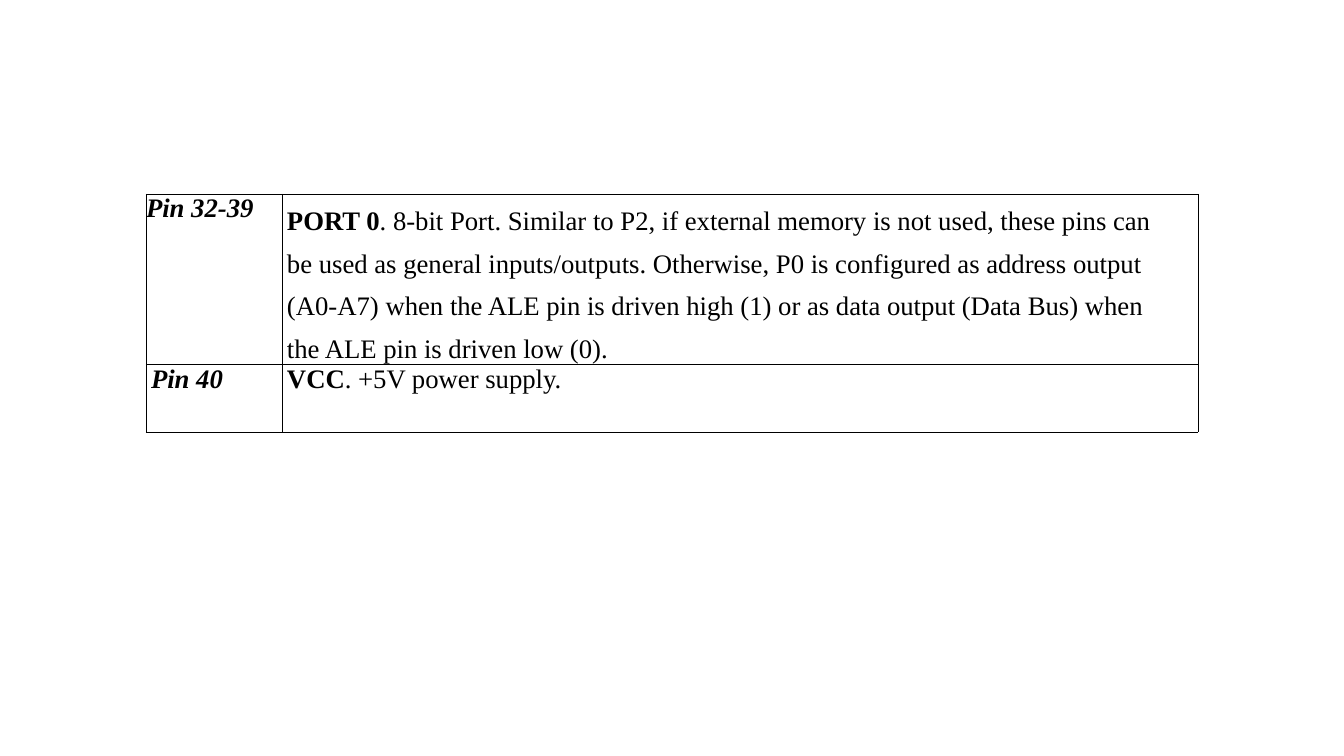
import dataclasses

import lxml.etree
import pptx
import pptx.dml.color
import pptx.oxml.ns
import pptx.util

EMU_PER_PX = 13310


@dataclasses.dataclass(frozen=True)
class Theme:
    font: str = "Times New Roman"
    ink: str = "000000"
    text_size: int = 28
    border_width: float = 0.58
    wide_spacing: float = 1.44


THEME = Theme()

COLUMN_WIDTHS = (136, 916)
ROW_HEIGHTS = (107, 68)

# Each row: pin label, label indent, bold lead, description, line spacing
PIN_ROWS = (
    ("Pin 32-39", 0, "PORT 0",
     ". 8-bit Port. Similar to P2, if external memory is not used, these pins can "
     "be used as general inputs/outputs. Otherwise, P0 is configured as address output "
     "(A0-A7) when the ALE pin is driven high (1) or as data output (Data Bus) when "
     "the ALE pin is driven low (0).", THEME.wide_spacing),
    ("Pin 40", 5, "VCC", ". +5V power supply.", None),
)


def px(length):
    return pptx.util.Emu(length * EMU_PER_PX)


def add_span(para, text, bold=False, italic=False):
    span = para.add_run()
    span.text = text
    font = span.font
    font.name = THEME.font
    font.size = pptx.util.Pt(THEME.text_size)
    font.bold = bold
    font.italic = italic
    font.color.rgb = pptx.dml.color.RGBColor.from_string(THEME.ink)


def add_borders(cell):
    properties = cell._tc.get_or_add_tcPr()
    qualified = pptx.oxml.ns.qn
    for position, side in enumerate(("lnL", "lnR", "lnT", "lnB")):
        line = lxml.etree.Element(qualified(f"a:{side}"))
        line.set("w", str(int(pptx.util.Pt(THEME.border_width))))
        fill = lxml.etree.SubElement(line, qualified("a:solidFill"))
        lxml.etree.SubElement(fill, qualified("a:srgbClr")).set("val", THEME.ink)
        properties.insert(position, line)


def prepare_cell(cell, indent, right=0):
    """Clear the cell's style and return its paragraph."""
    cell.margin_left = cell.margin_top = cell.margin_bottom = 0
    cell.margin_right = px(right)
    cell.fill.background()
    add_borders(cell)
    para = cell.text_frame.paragraphs[0]
    para._p.get_or_add_pPr().set("marL", str(int(px(indent))))
    return para


def add_pin_table(page, left, top):
    frame = page.shapes.add_table(
        len(ROW_HEIGHTS), len(COLUMN_WIDTHS), px(left), px(top),
        px(sum(COLUMN_WIDTHS)), px(sum(ROW_HEIGHTS)))
    table = frame.table
    table.first_row = table.horz_banding = False
    for column, width in zip(table.columns, COLUMN_WIDTHS):
        column.width = px(width)
    for row, height, content in zip(table.rows, ROW_HEIGHTS, PIN_ROWS):
        row.height = px(height)
        label, indent, lead, description, spacing = content

        # Pin label
        para = prepare_cell(row.cells[0], indent)
        add_span(para, label, bold=True, italic=True)

        # Pin description
        para = prepare_cell(row.cells[1], 5, right=30)
        if spacing:
            para.line_spacing = spacing
        add_span(para, lead, bold=True)
        add_span(para, description)


def main():
    deck = pptx.Presentation()
    deck.slide_width, deck.slide_height = px(1344), px(756)
    page = deck.slides.add_slide(deck.slide_layouts[6])
    add_pin_table(page, 146, 194)
    deck.save("out.pptx")


if __name__ == "__main__":
    main()
